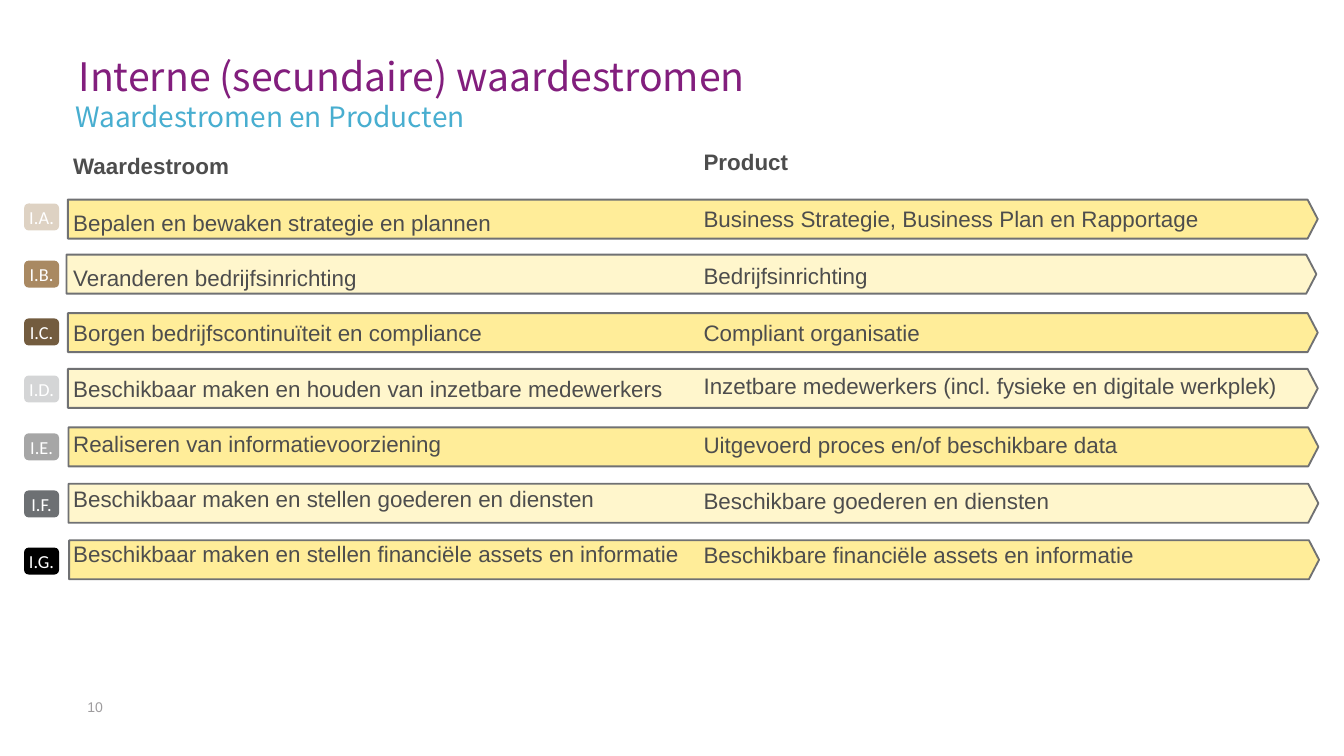
"""Build the slide of internal value streams and their products."""
from dataclasses import dataclass

from pptx import Presentation
from pptx.dml.color import RGBColor
from pptx.enum.shapes import MSO_SHAPE
from pptx.enum.text import MSO_ANCHOR, PP_ALIGN
from pptx.shapes.autoshape import Shape
from pptx.slide import Slide
from pptx.text.text import _Paragraph
from pptx.util import Emu, Length, Pt

PLATE = MSO_SHAPE.PENTAGON
ROUND = MSO_SHAPE.ROUNDED_RECTANGLE
MIDDLE = MSO_ANCHOR.MIDDLE
CENTER = PP_ALIGN.CENTER

PURPLE = RGBColor(0x82, 0x1E, 0x7D)
BLUE = RGBColor(0x48, 0xAE, 0xD0)
INK = RGBColor(0x4D, 0x4D, 0x4D)
MUTED = RGBColor(0x9E, 0x9C, 0x9E)
EDGE = RGBColor(0x70, 0x71, 0x73)
WHITE = RGBColor(0xFF, 0xFF, 0xFF)
BLACK = RGBColor(0x00, 0x00, 0x00)
SAND = RGBColor(0xDE, 0xD2, 0xC3)
TAN = RGBColor(0xA9, 0x89, 0x62)
BROWN = RGBColor(0x73, 0x5C, 0x3F)
SILVER = RGBColor(0xD4, 0xD5, 0xD6)
GREY = RGBColor(0xA6, 0xA6, 0xA6)
SLATE = RGBColor(0x6D, 0x70, 0x73)
FILLS = (RGBColor(0xFF, 0xED, 0x99), RGBColor(0xFF, 0xF6, 0xCC))

SANS = "Noto Sans CJK TC"
ARIAL = "Arial"
SCALE = 4572


@dataclass(frozen=True)
class Box:
    left: int
    top: int
    width: int
    height: int


@dataclass(frozen=True)
class Font:
    name: str
    size: float
    color: RGBColor
    bold: bool = False


@dataclass(frozen=True)
class Line:
    text: str
    before: float = 4.5
    after: float = 4.5


@dataclass(frozen=True)
class Stream:
    tag: str
    color: RGBColor
    left: int
    top: int
    name: str
    product: Line


HEAD = Font(ARIAL, 12, INK, True)
BODY = Font(ARIAL, 12, INK)
LABEL = Font("Calibri", 9.8, WHITE)

STREAMS = (
    Stream("I.A.", SAND, 101, 297, "Bepalen en bewaken strategie en plannen",
           Line("Business Strategie, Business Plan en Rapportage")),
    Stream("I.B.", TAN, 99, 379, "Veranderen bedrijfsinrichting",
           Line("Bedrijfsinrichting")),
    Stream("I.C.", BROWN, 101, 466, "Borgen bedrijfscontinuïteit en compliance",
           Line("Compliant organisatie", after=2)),
    Stream("I.D.", SILVER, 101, 549,
           "Beschikbaar maken en houden van inzetbare medewerkers",
           Line("Inzetbare medewerkers (incl. fysieke en digitale werkplek)",
                after=2)),
    Stream("I.E.", GREY, 102, 636, "Realiseren van informatievoorziening",
           Line("Uitgevoerd proces en/of beschikbare data", before=8)),
    Stream("I.F.", SLATE, 102, 720,
           "Beschikbaar maken en stellen goederen en diensten",
           Line("Beschikbare goederen en diensten", before=4)),
    Stream("I.G.", BLACK, 103, 804,
           "Beschikbaar maken en stellen financiële assets en informatie",
           Line("Beschikbare financiële assets en informatie", before=3)),
)


def px(count: int) -> Emu:
    """Turn whole px into EMU."""
    return Emu(count * SCALE)


def place(box: Box) -> tuple[Emu, Emu, Emu, Emu]:
    """Give the four lengths of a box in EMU."""
    return px(box.left), px(box.top), px(box.width), px(box.height)


def write(para: _Paragraph, text: str, font: Font) -> None:
    """Add one run to a paragraph."""
    run = para.add_run()
    run.text = text
    run.font.name = font.name
    run.font.size = Pt(font.size)
    run.font.bold = font.bold
    run.font.color.rgb = font.color


def inset(shape: Shape, side: int, edge: int) -> None:
    """Set wrapping and the inner margins of a shape."""
    frame = shape.text_frame
    frame.word_wrap = True
    frame.margin_left = frame.margin_right = px(side)
    frame.margin_top = frame.margin_bottom = px(edge)


def add_text(slide: Slide, box: Box, lines: list[Line], fonts: list[Font],
             space: float | Length) -> None:
    """Draw a text box with one paragraph per line."""
    shape = slide.shapes.add_textbox(*place(box))
    inset(shape, 0, 0)
    frame = shape.text_frame
    for index, (line, font) in enumerate(zip(lines, fonts)):
        para = frame.add_paragraph() if index else frame.paragraphs[0]
        para.line_spacing = space
        para.space_before = Pt(line.before)
        para.space_after = Pt(line.after)
        write(para, line.text, font)


def add_shape(slide: Slide, kind: MSO_SHAPE, box: Box, fill: RGBColor) -> Shape:
    """Draw a plain filled shape without a line."""
    shape = slide.shapes.add_shape(kind, *place(box))
    shape.shadow.inherit = False
    shape.fill.solid()
    shape.fill.fore_color.rgb = fill
    shape.line.fill.background()
    return shape


def add_bar(slide: Slide, stream: Stream, fill: RGBColor) -> None:
    """Draw the arrow bar behind a stream."""
    bar = add_shape(slide, PLATE, Box(stream.left, stream.top, 1860, 58), fill)
    bar.adjustments[0] = 0.26
    bar.line.color.rgb = EDGE
    bar.line.width = Pt(1)


def add_tag(slide: Slide, stream: Stream, top: int) -> None:
    """Draw the rounded label of a stream."""
    tag = add_shape(slide, ROUND, Box(36, top, 52, 40), stream.color)
    inset(tag, 0, 10)
    tag.text_frame.vertical_anchor = MIDDLE
    para = tag.text_frame.paragraphs[0]
    para.alignment = CENTER
    write(para, stream.tag, LABEL)


def main() -> None:
    """Build and save the slide."""
    deck = Presentation()
    deck.slide_width, deck.slide_height = px(2000), px(1125)
    slide = deck.slides.add_slide(deck.slide_layouts[6])

    add_text(slide, Box(130, 1040, 78, 48), [Line("10", 0, 0)],
             [Font(ARIAL, 7.5, MUTED)], 1.0)
    add_text(slide, Box(117, 70, 1456, 78),
             [Line("Interne (secundaire) waardestromen", 0, 0)],
             [Font(SANS, 21, PURPLE)], Pt(28))
    add_text(slide, Box(112, 138, 1664, 48),
             [Line("Waardestromen en Producten", 0, 0)],
             [Font(SANS, 15, BLUE)], 1.2)

    for index, stream in enumerate(STREAMS):
        add_bar(slide, stream, FILLS[index % 2])

    fonts = [HEAD] + [BODY] * len(STREAMS)
    goods = [Line("Product")] + [stream.product for stream in STREAMS]
    names = [Line("Waardestroom")]
    names += [Line(stream.name, after=3.5) for stream in STREAMS]
    add_text(slide, Box(1047, 200, 944, 746), goods, fonts, 1.5)
    add_text(slide, Box(109, 206, 1474, 746), names, fonts, 1.5)

    for index, stream in enumerate(STREAMS):
        add_tag(slide, stream, round(303 + 85.4 * index))

    deck.save("out.pptx")


if __name__ == "__main__":
    main()
